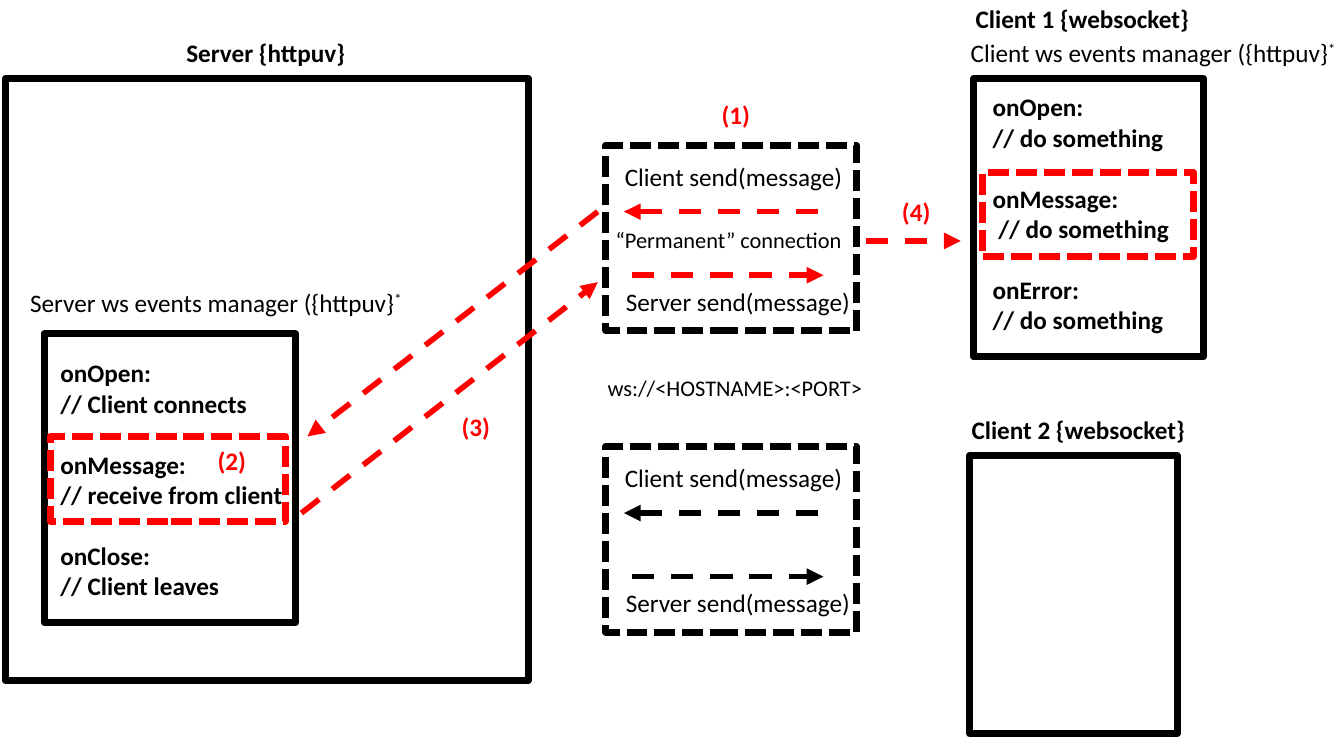
from lxml.etree import SubElement
from pptx import Presentation
from pptx.dml.color import RGBColor
from pptx.enum.dml import MSO_LINE
from pptx.enum.shapes import MSO_CONNECTOR, MSO_SHAPE
from pptx.oxml.ns import qn
from pptx.util import Pt

BLACK = RGBColor(0, 0, 0)
RED = RGBColor(255, 0, 0)
STEP = 215.3  # drop from the first channel to the second
GAP = 22  # one line of 18 pt text

deck = Presentation()
deck.slide_width, deck.slide_height = Pt(960), Pt(540)
slide = deck.slides.add_slide(deck.slide_layouts[6])
shapes = slide.shapes


def add_text(lines, x, y, w, h, wrap=False, **style):
    """Add left-aligned text; a trailing * is raised, None leaves a gap."""
    frame = shapes.add_textbox(Pt(x), Pt(y), Pt(w), Pt(h)).text_frame
    frame.word_wrap = wrap
    look = {"name": "Calibri", "size": Pt(18), "bold": False} | style
    color = look.pop("color", BLACK)
    para, gap = frame.paragraphs[0], 0
    for line in lines:
        if line is None:
            gap = GAP
            continue
        if para.runs:
            para = frame.add_paragraph()
        para.space_before, gap = Pt(gap), 0
        body = line.rstrip("*")
        for part in filter(None, (body, line[len(body):])):
            run = para.add_run()
            run.text = part
            for key, value in look.items():
                setattr(run.font, key, value)
            run.font.color.rgb = color
            if part == "*":
                run._r.get_or_add_rPr().set("baseline", "30000")


# Frames: place, colour, dash
frames = [
    (3.6, 56.2, 373.7, 429.8, BLACK, None),  # server
    (31.7, 238.3, 179.3, 206.6, BLACK, None),  # server events
    (695.5, 56.2, 164.2, 198.7, BLACK, None),  # client 1
    (692.6, 325.4, 148.3, 198.7, BLACK, None),  # client 2
    (432.7, 103.7, 179.3, 132.5, BLACK, MSO_LINE.SQUARE_DOT),
    (432.7, 103.7 + STEP, 179.3, 132.5, BLACK, MSO_LINE.SQUARE_DOT),
    (36, 311.8, 167.8, 60.5, RED, MSO_LINE.SQUARE_DOT),
    (702, 123.1, 150.5, 60.5, RED, MSO_LINE.SQUARE_DOT),
]
for x, y, w, h, color, dash in frames:
    box = shapes.add_shape(MSO_SHAPE.RECTANGLE, Pt(x), Pt(y), Pt(w), Pt(h))
    box.shadow.inherit = False
    box.fill.background()
    box.line.color.rgb = color
    box.line.width = Pt(5)
    if dash:
        box.line.dash_style = dash

# Arrows: the message path, then a pair in each channel
arrows = [
    (427, 151.2, 219.6, 311.8, RED),
    (215.3, 366.5, 427, 201.6, RED),
    (618.5, 172.1, 686.2, 172.1, RED),
]
for drop, color in ((0, RED), (STEP, BLACK)):
    arrows.append((584.6, 151.2 + drop, 445.7, 151.2 + drop, color))
    arrows.append((451.4, 196.6 + drop, 588.2, 196.6 + drop, color))
    add_text(["Client send(message)"], 439.2, 111.6 + drop, 172.1, 29)
    add_text(["Server send(message)"], 439.9, 200.9 + drop, 176.4, 29)
for *ends, color in arrows:
    arrow = shapes.add_connector(MSO_CONNECTOR.STRAIGHT, *map(Pt, ends))
    arrow.line.color.rgb = color
    arrow.line.width = Pt(4)
    arrow.line.dash_style = MSO_LINE.DASH
    edge = arrow.line._get_or_add_ln()
    SubElement(edge, qn("a:tailEnd"), type="triangle")
    SubElement(arrow._element.spPr, qn("a:effectLst"))

# Headings
for title, x, y, w in [
    ("Server {httpuv}", 126, 23, 129.6),
    ("Client 1 {websocket}", 689.8, -1.4, 172.8),
    ("Client 2 {websocket}", 686.9, 292.3, 172.8),
]:
    add_text([title], x, y, w, 29, bold=True)
for side, x, y in (("Server", 14.4, 201.6), ("Client", 686.2, 23)):
    add_text([side + " ws events manager ({httpuv}*"], x, y, 282.2, 29, True)

# Event handlers
add_text(["onOpen:", "// Client connects", None,
          "onMessage:", "// receive from client", None,
          "onClose:", "// Client leaves"],
         36, 252, 174.2, 203.8, bold=True)
add_text(["onOpen:", "// do something", None,
          "onMessage:", " // do something", None,
          "onError:", "// do something"],
         702, 61.9, 141.8, 203.8, True, bold=True)

# Connection notes
add_text(["“Permanent” connection"], 432.7, 157.7, 198.7, 26.6, True, size=Pt(16))
add_text(["ws://<HOSTNAME>:<PORT>"], 427, 263.5, 198.7, 26.6, size=Pt(16))

# Step numbers
steps = [(508.3, 67.7), (148.3, 314.6), (322.6, 290.2), (637.2, 136.8)]
for num, (x, y) in enumerate(steps, 1):
    add_text([f"({num})"], x, y, 41.8, 29, True, bold=True, color=RED)

deck.save("out.pptx")
